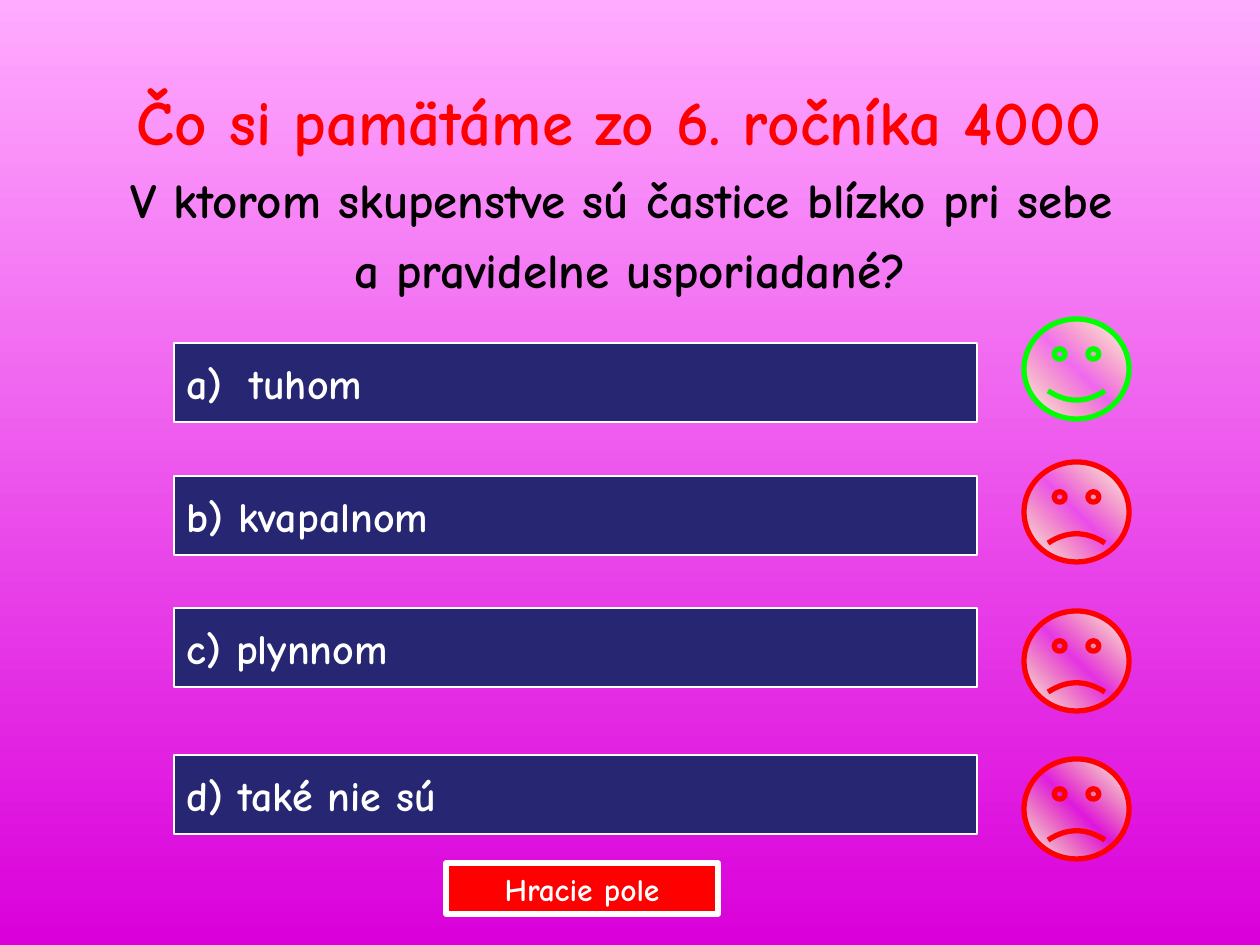
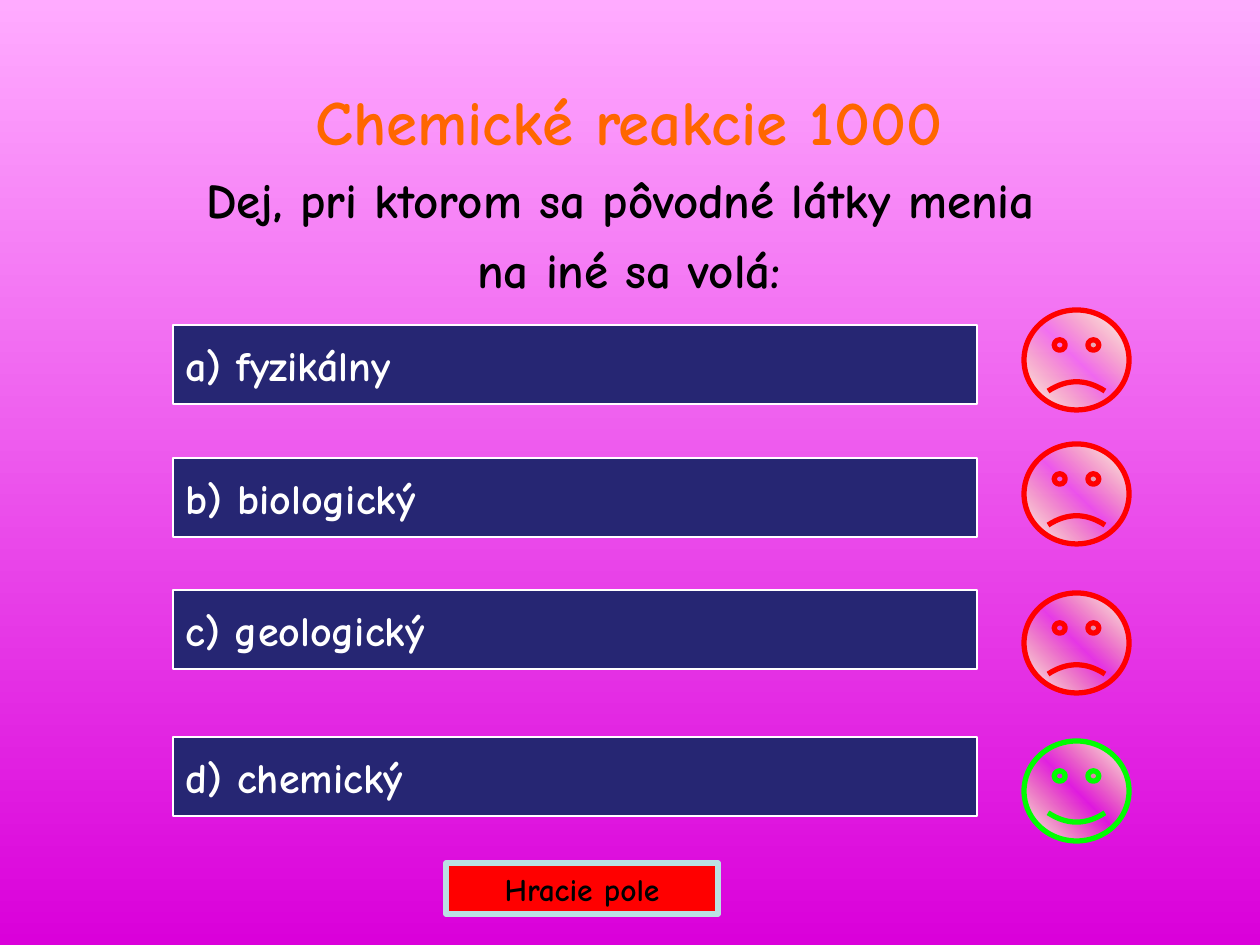
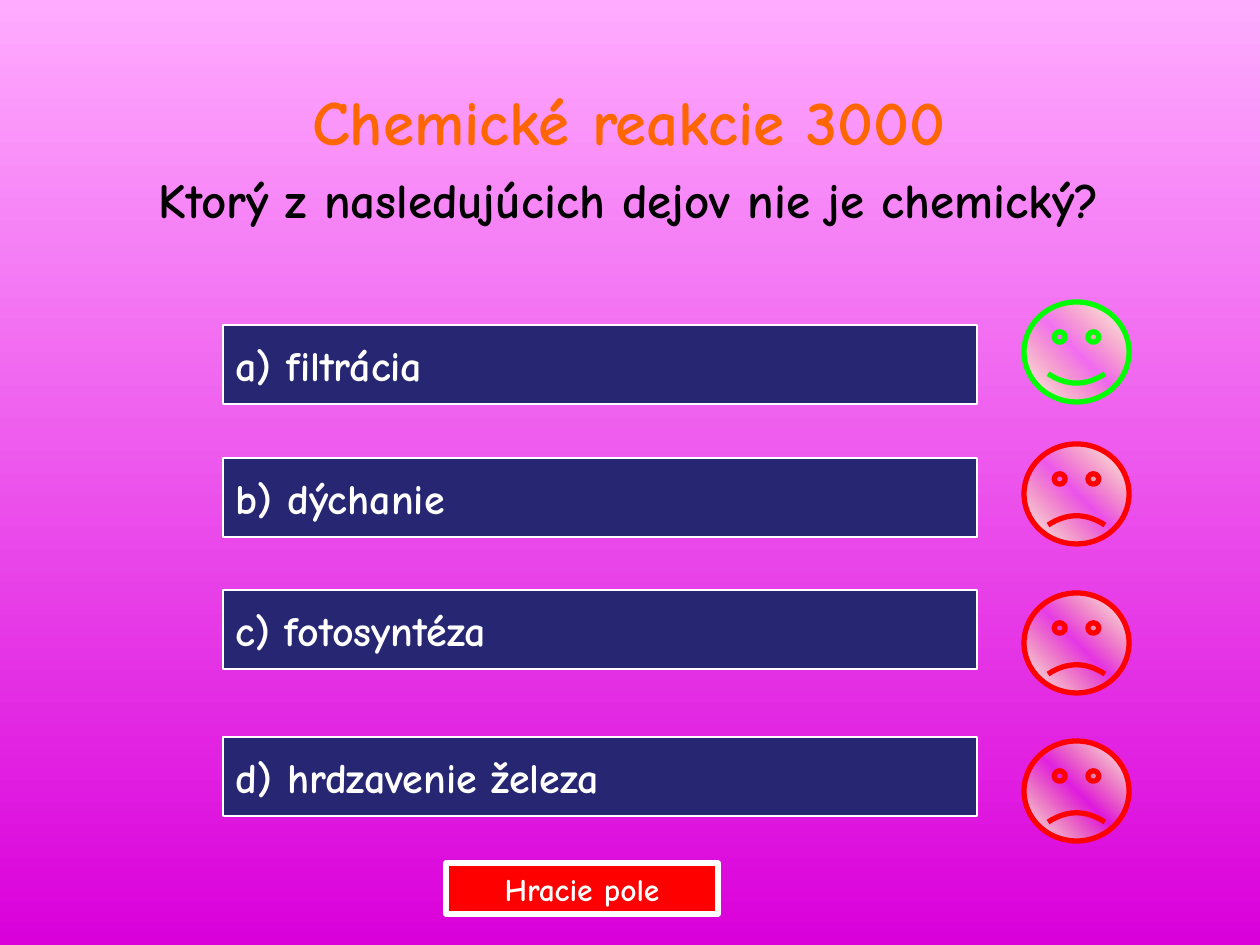
"""Builds three quiz slides with answers, smiley feedback and a return button."""
from copy import deepcopy

from lxml import etree
from pptx import Presentation
from pptx.dml.color import RGBColor
from pptx.enum.shapes import MSO_SHAPE
from pptx.enum.text import MSO_ANCHOR, MSO_AUTO_SIZE, PP_ALIGN
from pptx.oxml.ns import qn
from pptx.util import Emu, Pt

BUTTON, SMILEY = MSO_SHAPE.ACTION_BUTTON_CUSTOM, MSO_SHAPE.SMILEY_FACE
TOP, MIDDLE = MSO_ANCHOR.TOP, MSO_ANCHOR.MIDDLE
LEFT, CENTER = PP_ALIGN.LEFT, PP_ALIGN.CENTER
NO_AUTOFIT = MSO_AUTO_SIZE.NONE

THEME = {
    "font": "Comic Neue",
    "title_size": 36, "question_size": 28, "answer_size": 24, "return_size": 18,
    "sky_top": "FFABFF", "sky_bottom": "DA00DA",
    "answer": "262673", "white": "FFFFFF", "black": "000000", "pale": "BBE0E3",
    "red": "FF0000", "orange": "FF6600", "green": "00FF00", "glow": "FFFF66",
}

QUIZ = [
    {"title": "Čo si pamätáme zo 6. ročníka 4000 ", "title_color": "red",
     "question": ["V ktorom skupenstve sú častice blízko pri sebe ",
                  "a pravidelne usporiadané?"],
     "answers": ["tuhom", "b) kvapalnom", "c) plynnom", "d) také nie sú"],
     "numbered": [0], "correct": 0, "heading": (0, 76, 1260, 100),
     "answers_at": (174, 343), "first_face_shift": -24,
     "return_line": "white", "return_text": "white"},
    {"title": "Chemické reakcie 1000", "title_color": "orange",
     "question": ["Dej, pri ktorom sa pôvodné látky menia ", "na iné sa volá:"],
     "answers": ["a) fyzikálny", "b) biologický", "c) geologický", "d) chemický"],
     "numbered": [], "correct": 3, "heading": (49, 76, 1160, 95),
     "answers_at": (173, 325), "first_face_shift": -15,
     "return_line": "pale", "return_text": "black"},
    {"title": "Chemické reakcie 3000", "title_color": "orange",
     "question": ["Ktorý z nasledujúcich dejov nie je chemický?"],
     "answers": ["a) filtrácia", "b) dýchanie", "c) fotosyntéza", "d) hrdzavenie železa"],
     "numbered": [], "correct": 0, "heading": (49, 76, 1160, 95),
     "answers_at": (223, 325), "first_face_shift": -23,
     "return_line": "white", "return_text": "white"},
]

RETURN_LABEL = "Hracie pole"
RETURN_BOX = (446, 863, 272, 51)
SLIDE_SIZE = (1260, 945)
ANSWER_RIGHT, ANSWER_HEIGHT = 977, 79
ANSWER_OFFSETS = (0, 133, 265, 412)
FACE_LEFT, FACE_WIDTH, FACE_HEIGHT = 1024, 105, 100
FACE_SHIFTS = (-14, 3, 4)
SMILE = 0.047
NUMBER_INDENT = 63


def px(length):
    return Emu(round(length * 914400 / 126))


def color(name):
    return RGBColor.from_string(THEME[name])


def write(paragraph, text, size, ink, align):
    paragraph.alignment = align
    run = paragraph.add_run()
    run.text = text
    run.font.name = THEME["font"]
    run.font.size = Pt(THEME[size])
    run.font.bold = True
    run.font.color.rgb = color(ink)


def paint_gradient(fill, start, end, angle):
    fill.gradient()
    fill.gradient_angle = angle
    for stop, name, position in zip(fill.gradient_stops, (start, end), (0, 1)):
        stop.color.rgb = color(name)
        stop.position = position


def add_outlined(slide, kind, box, line, width):
    shape = slide.shapes.add_shape(kind, *map(px, box))
    shape.shadow.inherit = False
    shape.line.color.rgb = color(line)
    shape.line.width = Pt(width)
    return shape


def add_button(slide, box, label, size, fill, line, width, ink, align):
    button = add_outlined(slide, BUTTON, box, line, width)
    button.fill.solid()
    button.fill.fore_color.rgb = color(fill)
    frame = button.text_frame
    frame.word_wrap = False
    frame.vertical_anchor = MIDDLE
    write(frame.paragraphs[0], label, size, ink, align)
    return button


def number_paragraph(paragraph):
    properties = paragraph._p.get_or_add_pPr()
    properties.set("marL", str(px(NUMBER_INDENT)))
    properties.set("indent", str(-px(NUMBER_INDENT)))
    etree.SubElement(properties, qn("a:buAutoNum"), type="alphaLcParenR")


def add_face(slide, top, happy):
    box = (FACE_LEFT, top, FACE_WIDTH, FACE_HEIGHT)
    face = add_outlined(slide, SMILEY, box, "green" if happy else "red", 3)
    face.adjustments[0] = SMILE if happy else -SMILE
    paint_gradient(face.fill, "white", "white", 45)
    first = face.element.spPr.find(".//" + qn("a:gs"))
    glow = deepcopy(first)
    glow.set("pos", "50000")
    glow[0].set("val", THEME["glow"])
    etree.SubElement(glow[0], qn("a:alpha"), val="0")
    first.addnext(glow)


def add_heading(slide, quiz):
    heading = slide.shapes.title
    heading.left, heading.top, heading.width, heading.height = map(px, quiz["heading"])
    frame = heading.text_frame
    frame.word_wrap = True
    frame.auto_size = NO_AUTOFIT
    frame.vertical_anchor = TOP
    write(frame.paragraphs[0], quiz["title"], "title_size", quiz["title_color"], CENTER)
    for line in quiz["question"]:
        paragraph = frame.add_paragraph()
        paragraph.space_before = Pt(6.4)
        write(paragraph, line, "question_size", "black", CENTER)


def add_quiz(prs, quiz):
    slide = prs.slides.add_slide(prs.slide_layouts[5])
    add_heading(slide, quiz)
    left, first_top = quiz["answers_at"]
    shifts = (quiz["first_face_shift"], *FACE_SHIFTS)
    for index, (answer, offset, shift) in enumerate(
            zip(quiz["answers"], ANSWER_OFFSETS, shifts)):
        top = first_top + offset
        box = (left, top, ANSWER_RIGHT - left, ANSWER_HEIGHT)
        button = add_button(slide, box, answer, "answer_size", "answer",
                            "white", 1.5, "white", LEFT)
        if index in quiz["numbered"]:
            number_paragraph(button.text_frame.paragraphs[0])
        add_face(slide, top + shift, index == quiz["correct"])
    add_button(slide, RETURN_BOX, RETURN_LABEL, "return_size", "red",
               quiz["return_line"], 3, quiz["return_text"], CENTER)


def main():
    prs = Presentation()
    prs.slide_width, prs.slide_height = map(px, SLIDE_SIZE)
    paint_gradient(prs.slide_master.background.fill, "sky_top", "sky_bottom", 270)
    for quiz in QUIZ:
        add_quiz(prs, quiz)
    prs.save("out.pptx")


if __name__ == "__main__":
    main()
